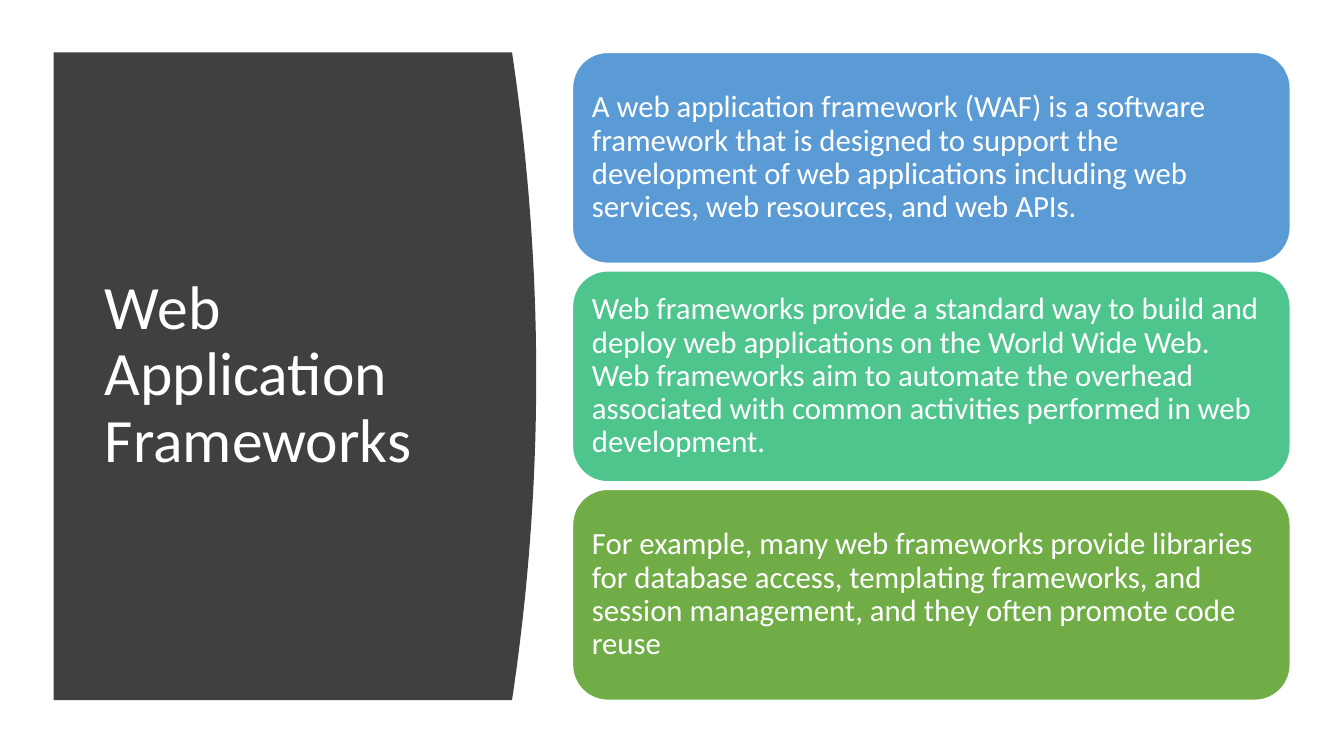
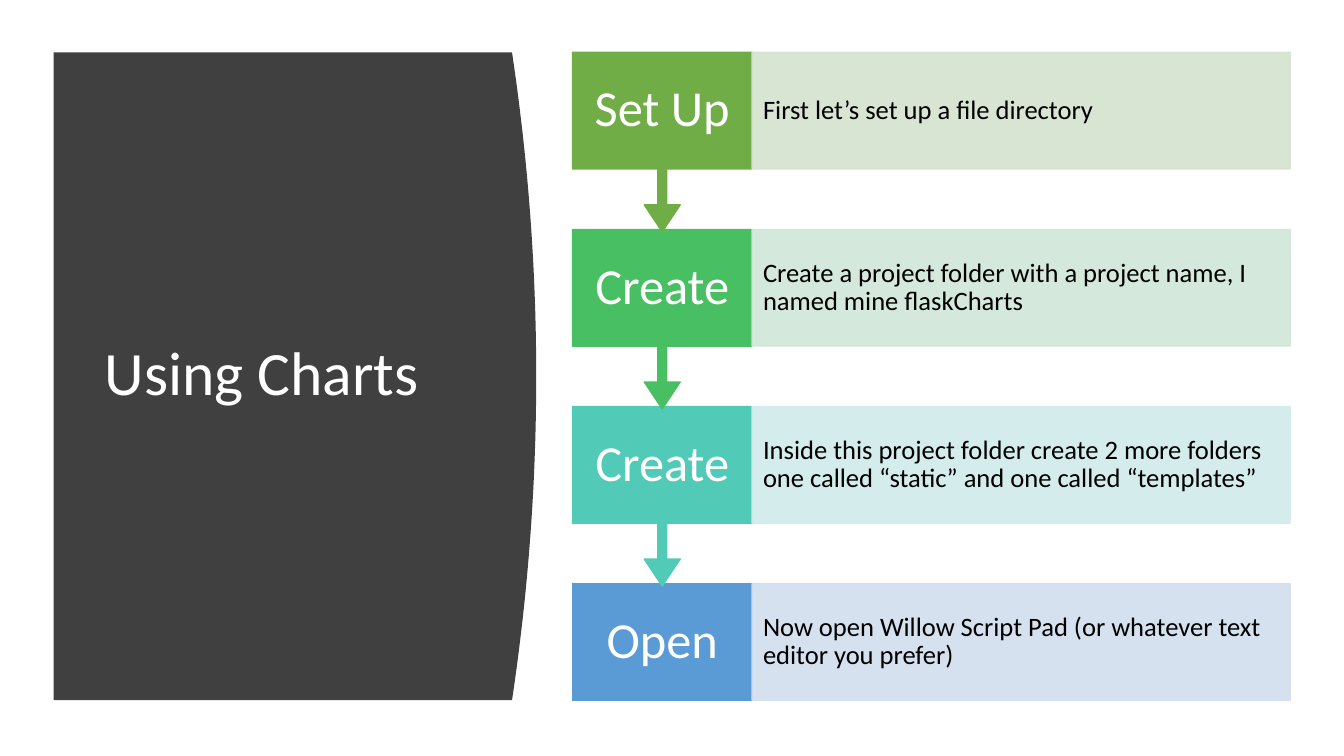
"""Build two slides that share a curved title panel beside a content column."""
from dataclasses import dataclass

from lxml import etree
from pptx import Presentation
from pptx.dml.color import RGBColor
from pptx.enum.shapes import MSO_SHAPE
from pptx.enum.text import MSO_ANCHOR, MSO_AUTO_SIZE, PP_ALIGN
from pptx.oxml.ns import qn
from pptx.util import Inches, Pt

ROUNDED = MSO_SHAPE.ROUNDED_RECTANGLE
RECTANGLE = MSO_SHAPE.RECTANGLE
DOWN_CALLOUT = MSO_SHAPE.DOWN_ARROW_CALLOUT
MIDDLE = MSO_ANCHOR.MIDDLE
NO_FIT = MSO_AUTO_SIZE.NONE
LEFT, CENTER = PP_ALIGN.LEFT, PP_ALIGN.CENTER
TITLE_ONLY = 5


@dataclass(frozen=True)
class Theme:
    """Colours, type sizes and line style of the deck."""
    font: str = "Calibri"
    panel: str = "404040"
    light: str = "FFFFFF"
    dark: str = "000000"
    blue: str = "5B9BD5"
    mint: str = "4DC58D"
    green: str = "70AD47"
    emerald: str = "49BF64"
    teal: str = "52CAB8"
    pale_blue: str = "D2DEEF"
    pale_green: str = "D5E3CF"
    pale_emerald: str = "D0E7D8"
    pale_teal: str = "D0ECEA"
    title_size: int = 44
    step_size: int = 36
    card_size: int = 22
    detail_size: int = 19
    line_width: int = 1
    line_spacing: float = 0.9
    detail_opacity: int = 90


THEME = Theme()

TOP, HEIGHT = 6.93, 85.7
PANEL_LEFT, PANEL_SHOULDER, PANEL_APEX = 4, 38.1, 39.9
TITLE_BOX = (7.05, 14.8, 28.05, 69.87)
CONTENT_LEFT, CONTENT_WIDTH = 42.6, 53.4
CARD_GAP = 1
STEP_SHARE = 0.25
CALLOUT_HEIGHT, CALLOUT_BODY = 23.73, 0.65
CALLOUT_SHAPE = (0.05, 0.1, 0.15, CALLOUT_BODY)
CURVE_STEPS = 40

CARDS = [
    (THEME.blue, "A web application framework (WAF) is a software framework that is "
     "designed to support the development of web applications including web services, "
     "web resources, and web APIs."),
    (THEME.mint, "Web frameworks provide a standard way to build and deploy web "
     "applications on the World Wide Web. Web frameworks aim to automate the overhead "
     "associated with common activities performed in web development."),
    (THEME.green, "For example, many web frameworks provide libraries for database "
     "access, templating frameworks, and session management, and they often promote "
     "code reuse"),
]

STEPS = [
    ("Set Up", THEME.green, THEME.pale_green, "First let’s set up a file directory"),
    ("Create", THEME.emerald, THEME.pale_emerald,
     "Create a project folder with a project name, I named mine flaskCharts"),
    ("Create", THEME.teal, THEME.pale_teal,
     "Inside this project folder create 2 more folders one called “static” "
     "and one called “templates”"),
    ("Open", THEME.blue, THEME.pale_blue,
     "Now open Willow Script Pad (or whatever text editor you prefer)"),
]


class Deck:
    """Holds the theme and the slide being built; lengths are percentages of the slide."""

    def __init__(self, theme):
        """Start an empty widescreen presentation."""
        self.theme = theme
        self.presentation = Presentation()
        self.presentation.slide_width = Inches(13.33)
        self.presentation.slide_height = Inches(7.5)
        self.slide = None

    def x(self, percent):
        """Turn a share of the slide's width into a length."""
        return round(self.presentation.slide_width * percent / 100)

    def y(self, percent):
        """Turn a share of the slide's height into a length."""
        return round(self.presentation.slide_height * percent / 100)

    def put_text(self, shape, text, size, color, align=LEFT, insets=(0.1, 0.05)):
        """Put one formatted paragraph into a shape."""
        frame = shape.text_frame
        frame.word_wrap = True
        frame.auto_size = NO_FIT
        frame.vertical_anchor = MIDDLE
        frame.margin_left = frame.margin_right = Inches(insets[0])
        frame.margin_top = frame.margin_bottom = Inches(insets[1])
        paragraph = frame.paragraphs[0]
        paragraph.alignment = align
        paragraph.line_spacing = self.theme.line_spacing
        run = paragraph.add_run()
        run.text = text
        run.font.name = self.theme.font
        run.font.size = Pt(size)
        run.font.color.rgb = RGBColor.from_string(color)

    def block(self, kind, left, top, width, height, fill, line):
        """Add a filled and outlined preset shape."""
        shape = self.slide.shapes.add_shape(
            kind, self.x(left), self.y(top), self.x(width), self.y(height))
        shape.shadow.inherit = False
        shape.fill.solid()
        shape.fill.fore_color.rgb = RGBColor.from_string(fill)
        shape.line.color.rgb = RGBColor.from_string(line)
        shape.line.width = Pt(self.theme.line_width)
        return shape

    def fade(self, shape, opacity):
        """Make the fill and line of a shape partly transparent."""
        properties = shape.element.find(qn("p:spPr"))
        for color in properties.iter(qn("a:srgbClr")):
            etree.SubElement(color, qn("a:alpha")).set("val", str(opacity * 1000))

    def panel(self):
        """Add the dark panel whose right edge is a parabola."""
        edge = []
        for step in range(CURVE_STEPS + 1):
            share = step / CURVE_STEPS
            bulge = 1 - (2 * share - 1) ** 2
            across = PANEL_SHOULDER + (PANEL_APEX - PANEL_SHOULDER) * bulge
            edge.append((self.x(across), self.y(TOP + HEIGHT * share)))
        outline = self.slide.shapes.build_freeform(self.x(PANEL_LEFT), self.y(TOP))
        outline.add_line_segments(
            edge + [(self.x(PANEL_LEFT), self.y(TOP + HEIGHT))], close=True)
        panel = outline.convert_to_shape()
        panel.shadow.inherit = False
        panel.fill.solid()
        panel.fill.fore_color.rgb = RGBColor.from_string(self.theme.panel)
        panel.line.fill.background()
        return panel

    def titled_slide(self, text):
        """Start a slide with its title on the dark panel."""
        layout = self.presentation.slide_layouts[TITLE_ONLY]
        self.slide = self.presentation.slides.add_slide(layout)
        title = self.slide.shapes.title
        left, top, width, height = TITLE_BOX
        title.left, title.top = self.x(left), self.y(top)
        title.width, title.height = self.x(width), self.y(height)
        self.put_text(title, text, self.theme.title_size, self.theme.light)
        title.element.addprevious(self.panel().element)

    def cards(self, entries):
        """Stack rounded cards of equal height in the content column."""
        height = (HEIGHT - CARD_GAP * (len(entries) - 1)) / len(entries)
        for row, (fill, text) in enumerate(entries):
            card = self.block(ROUNDED, CONTENT_LEFT, TOP + row * (height + CARD_GAP),
                              CONTENT_WIDTH, height, fill, self.theme.light)
            self.put_text(card, text, self.theme.card_size, self.theme.light,
                          insets=(0.09, 0.09))

    def steps(self, entries):
        """Stack steps from the last up, so each arrow overlaps the next step."""
        body = CALLOUT_HEIGHT * CALLOUT_BODY
        last = len(entries) - 1
        pitch = (HEIGHT - body) / last
        head_width = CONTENT_WIDTH * STEP_SHARE
        for row, (name, fill, pale, text) in reversed(list(enumerate(entries))):
            top = TOP + row * pitch
            kind, height = (RECTANGLE, body) if row == last else (DOWN_CALLOUT, CALLOUT_HEIGHT)
            head = self.block(kind, CONTENT_LEFT, top, head_width, height, fill, fill)
            if row < last:
                for index, value in enumerate(CALLOUT_SHAPE):
                    head.adjustments[index] = value
            self.put_text(head, name, self.theme.step_size, self.theme.light,
                          CENTER, (0.13, 0.28))
            detail = self.block(RECTANGLE, CONTENT_LEFT + head_width, top,
                                CONTENT_WIDTH - head_width, body, pale, pale)
            self.fade(detail, self.theme.detail_opacity)
            self.put_text(detail, text, self.theme.detail_size, self.theme.dark,
                          insets=(0.11, 0.26))


def main():
    """Build both slides and save them."""
    deck = Deck(THEME)
    deck.titled_slide("Web Application Frameworks")
    deck.cards(CARDS)
    deck.titled_slide("Using Charts")
    deck.steps(STEPS)
    deck.presentation.save("out.pptx")


if __name__ == "__main__":
    main()
